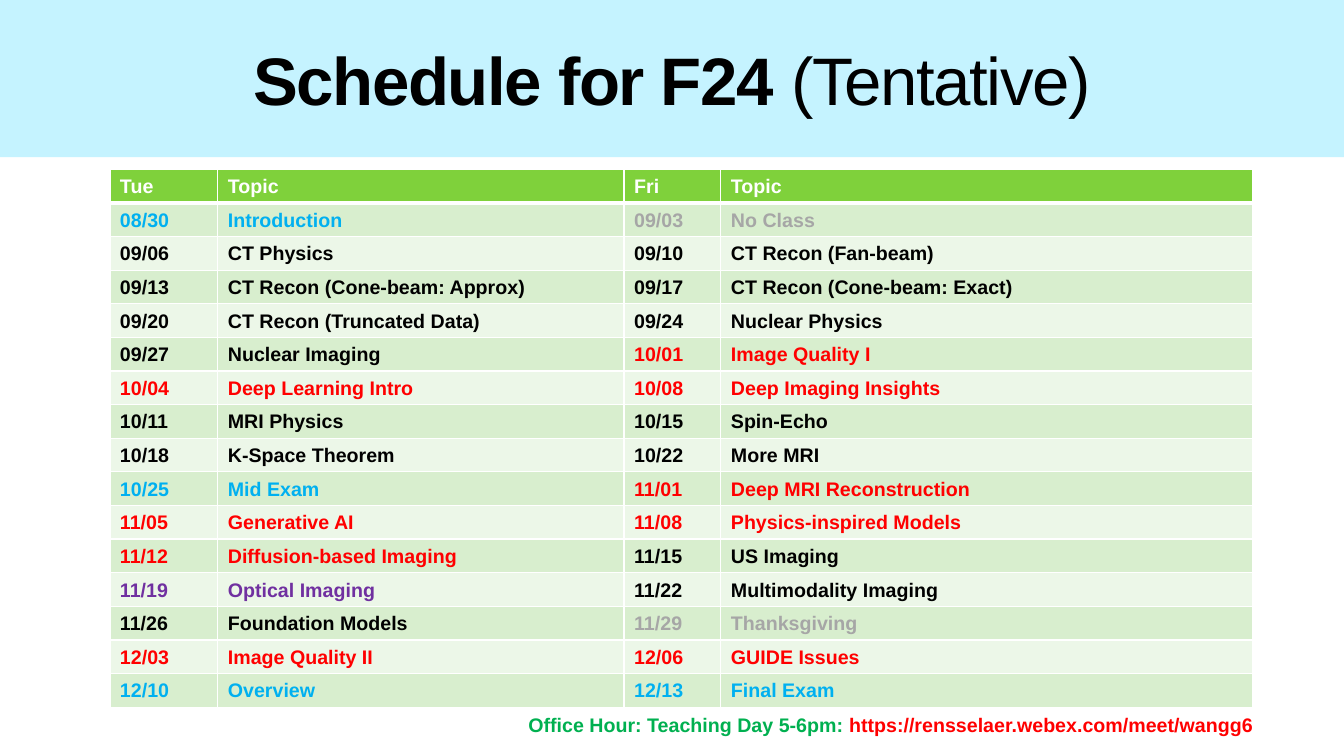
from lxml import etree
from pptx import Presentation
from pptx.dml.color import RGBColor
from pptx.enum import text
from pptx.oxml import ns
from pptx.util import Inches, Pt

BLACK = RGBColor(0x00, 0x00, 0x00)
WHITE = RGBColor(0xFF, 0xFF, 0xFF)
BLUE = RGBColor(0x00, 0xB0, 0xF0)
GRAY = RGBColor(0xA6, 0xA6, 0xA6)
RED = RGBColor(0xFF, 0x00, 0x00)
PURPLE = RGBColor(0x70, 0x30, 0xA0)
GREEN = RGBColor(0x00, 0xB0, 0x50)
SKY = RGBColor(0xC5, 0xF3, 0xFF)
HEADER = RGBColor(0x7F, 0xD1, 0x3B)
BANDS = [RGBColor(0xEC, 0xF7, 0xE8), RGBColor(0xD8, 0xEE, 0xCE)]

# Tuesday date, topic, colour; Friday date, topic, colour
SCHEDULE = [
    ("Tue", "Topic", WHITE, "Fri", "Topic", WHITE),
    ("08/30", "Introduction", BLUE, "09/03", "No Class", GRAY),
    ("09/06", "CT Physics", BLACK, "09/10", "CT Recon (Fan-beam)", BLACK),
    ("09/13", "CT Recon (Cone-beam: Approx)", BLACK, "09/17", "CT Recon (Cone-beam: Exact)", BLACK),
    ("09/20", "CT Recon (Truncated Data)", BLACK, "09/24", "Nuclear Physics", BLACK),
    ("09/27", "Nuclear Imaging", BLACK, "10/01", "Image Quality I", RED),
    ("10/04", "Deep Learning Intro", RED, "10/08", "Deep Imaging Insights", RED),
    ("10/11", "MRI Physics", BLACK, "10/15", "Spin-Echo", BLACK),
    ("10/18", "K-Space Theorem", BLACK, "10/22", "More MRI", BLACK),
    ("10/25", "Mid Exam", BLUE, "11/01", "Deep MRI Reconstruction", RED),
    ("11/05", "Generative AI", RED, "11/08", "Physics-inspired Models", RED),
    ("11/12", "Diffusion-based Imaging", RED, "11/15", "US Imaging", BLACK),
    ("11/19", "Optical Imaging", PURPLE, "11/22", "Multimodality Imaging", BLACK),
    ("11/26", "Foundation Models", BLACK, "11/29", "Thanksgiving", GRAY),
    ("12/03", "Image Quality II", RED, "12/06", "GUIDE Issues", RED),
    ("12/10", "Overview", BLUE, "12/13", "Final Exam", BLUE),
]
COLUMN_WIDTHS = [1.07, 4.03, 0.96, 5.27]
TABLE_HEIGHT = 5.34


def add_run(p, words, size, color, bold=True):
    r = p.add_run()
    r.text = words
    r.font.name = "Arial"
    r.font.size = Pt(size)
    r.font.bold = bold
    r.font.color.rgb = color
    return r


def add_border(cell, side, points):
    """Draw a white line on one side of a cell: L, R, T or B."""
    ln = etree.SubElement(cell._tc.get_or_add_tcPr(), ns.qn(f"a:ln{side}"), w=str(Pt(points)))
    fill = etree.SubElement(ln, ns.qn("a:solidFill"))
    etree.SubElement(fill, ns.qn("a:srgbClr"), val=str(WHITE))


prs = Presentation()
prs.slide_width, prs.slide_height = Inches(13.33), Inches(7.5)
s = prs.slides.add_slide(prs.slide_layouts[5])

title = s.shapes.title
title.left, title.top = Inches(0), Inches(0)
title.width, title.height = Inches(13.33), Inches(1.56)
title.fill.solid()
title.fill.fore_color.rgb = SKY
tf = title.text_frame
tf.vertical_anchor = text.MSO_ANCHOR.MIDDLE
p = tf.paragraphs[0]
p.alignment = text.PP_ALIGN.CENTER
for words, bold in [("Schedule for F24 ", True), ("(Tentative)", False)]:
    r = add_run(p, words, 48, BLACK, bold)
    r.font._element.set("spc", "-100")

table = s.shapes.add_table(len(SCHEDULE), len(COLUMN_WIDTHS), Inches(1.09), Inches(1.68),
                           Inches(sum(COLUMN_WIDTHS)), Inches(TABLE_HEIGHT)).table
for column, width in zip(table.columns, COLUMN_WIDTHS):
    column.width = Inches(width)
for i, (tue, tue_topic, tue_color, fri, fri_topic, fri_color) in enumerate(SCHEDULE):
    table.rows[i].height = Inches(TABLE_HEIGHT / len(SCHEDULE))
    entries = [(tue, tue_color), (tue_topic, tue_color), (fri, fri_color), (fri_topic, fri_color)]
    for cell, (words, color) in zip(table.rows[i].cells, entries):
        cell.margin_top = cell.margin_bottom = Inches(0.04)
        cell.vertical_anchor = text.MSO_ANCHOR.MIDDLE
        p = cell.text_frame.paragraphs[0]
        p.line_spacing = 1.07
        add_run(p, words, 14, color)
        for side in "LRTB":
            header_rule = (i == 0 and side == "B") or (i == 1 and side == "T")
            add_border(cell, side, 3 if header_rule else 1)
        cell.fill.solid()
        cell.fill.fore_color.rgb = BANDS[i % 2] if i else HEADER

office_hour = s.shapes.add_textbox(Inches(1.2), Inches(7.02), Inches(11.33), Inches(0.34))
tf = office_hour.text_frame
tf.word_wrap = True
tf.auto_size = text.MSO_AUTO_SIZE.SHAPE_TO_FIT_TEXT
p = tf.paragraphs[0]
p.alignment = text.PP_ALIGN.RIGHT
add_run(p, "Office Hour: Teaching Day 5-6pm: ", 14, GREEN)
add_run(p, "https://rensselaer.webex.com/meet/wangg6", 14, RED)

prs.save("out.pptx")
